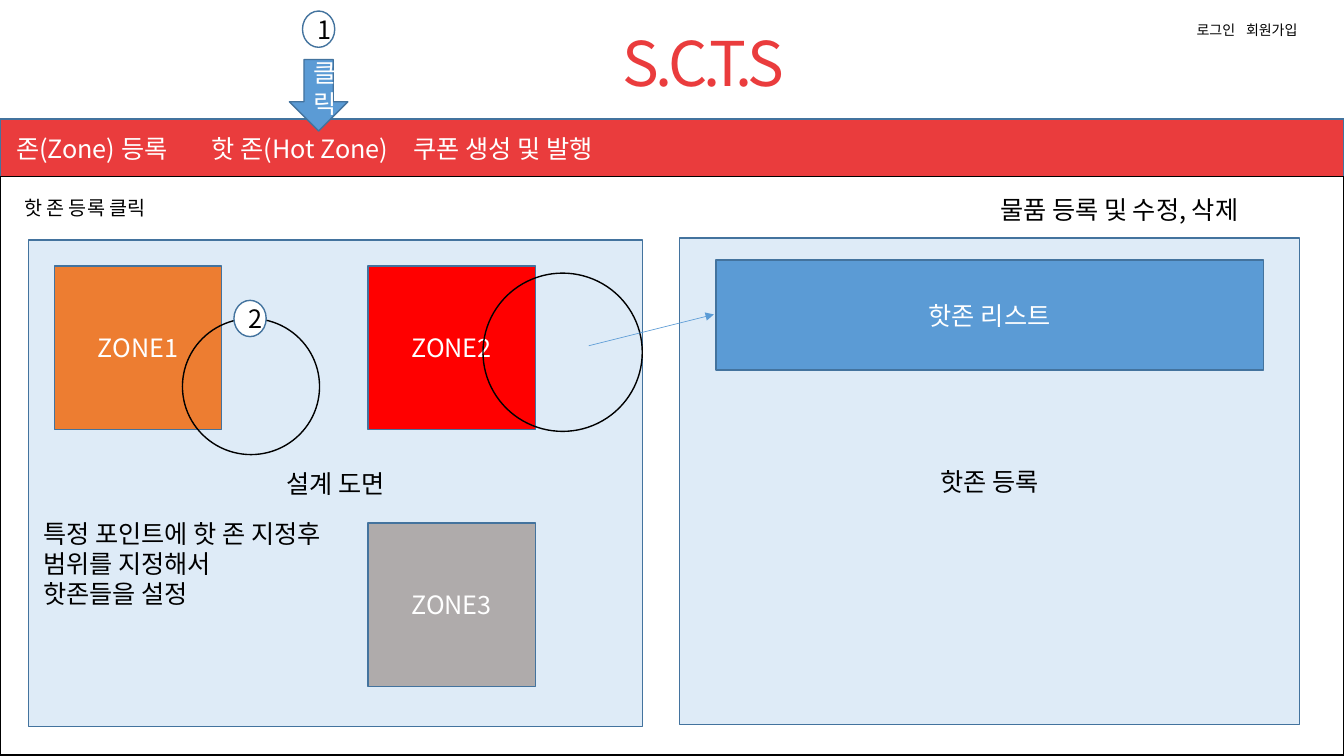
from pptx import Presentation
from pptx.dml.color import RGBColor
from pptx.enum.shapes import MSO_CONNECTOR, MSO_SHAPE
from pptx.enum.text import MSO_ANCHOR, MSO_AUTO_SIZE, PP_ALIGN
from pptx.oxml.ns import qn
from pptx.util import Inches, Pt
from lxml import etree

RECTANGLE, ELLIPSE, DOWN_ARROW = MSO_SHAPE.RECTANGLE, MSO_SHAPE.OVAL, MSO_SHAPE.DOWN_ARROW
STRAIGHT = MSO_CONNECTOR.STRAIGHT
LEFT, CENTER = PP_ALIGN.LEFT, PP_ALIGN.CENTER
TOP, MIDDLE = MSO_ANCHOR.TOP, MSO_ANCHOR.MIDDLE
NO_FIT = MSO_AUTO_SIZE.NONE

WHITE = RGBColor(0xFF, 0xFF, 0xFF)
BLACK = RGBColor(0x00, 0x00, 0x00)
BRAND_RED = RGBColor(0xEA, 0x3C, 0x3D)
OUTLINE = RGBColor(0x43, 0x73, 0x9E)
PANEL = RGBColor(0xDE, 0xEB, 0xF7)
BLUE = RGBColor(0x5B, 0x9B, 0xD5)
ORANGE = RGBColor(0xED, 0x7D, 0x31)
RED = RGBColor(0xFF, 0x00, 0x00)
GRAY = RGBColor(0xAF, 0xAB, 0xAB)

FONT = "Noto Sans CJK KR"
WIDTH, HEIGHT = 13.33, 7.5
ZONE_SIZE = (1.66, 1.62)
BADGE_SIZE = (0.32, 0.36)


def write_text(shape, text, color, size=18, align=CENTER, anchor=MIDDLE, wrap=True, tabs=(), spacing=None):
    """Fill a shape with formatted paragraphs, one per line of text."""
    frame = shape.text_frame
    frame_format = {"word_wrap": wrap, "vertical_anchor": anchor, "auto_size": NO_FIT}
    for name, value in frame_format.items():
        setattr(frame, name, value)
    frame.text = text
    for paragraph in frame.paragraphs:
        paragraph.alignment = align
        if tabs:
            tab_list = etree.SubElement(paragraph._p.get_or_add_pPr(), qn("a:tabLst"))
            for position in tabs:
                etree.SubElement(tab_list, qn("a:tab"), pos=str(Inches(position)), algn="l")
        for run in paragraph.runs:
            for name, value in {"name": FONT, "size": Pt(size)}.items():
                setattr(run.font, name, value)
            run.font.color.rgb = color
            properties = run._r.get_or_add_rPr()
            etree.SubElement(properties, qn("a:ea"), typeface=FONT)
            if spacing is not None:
                properties.set("spc", str(spacing))


def add_label(slide, box, text, color=BLACK, **text_format):
    """Add a top-left aligned text box."""
    shape = slide.shapes.add_textbox(*map(Inches, box))
    write_text(shape, text, color, **{"align": LEFT, "anchor": TOP, **text_format})


def add_block(slide, kind, box, fill=None, line=OUTLINE, text="", color=WHITE, **text_format):
    """Add an outlined preset shape with optional fill and text."""
    shape = slide.shapes.add_shape(kind, *map(Inches, box))
    shape.shadow.inherit = False
    if fill is None:
        shape.fill.background()
    else:
        shape.fill.solid()
        shape.fill.fore_color.rgb = fill
    shape.line.color.rgb = line
    shape.line.width = Pt(1)
    if text:
        write_text(shape, text, color, **text_format)
    return shape


def add_badge(slide, left, top, number):
    """Add a numbered step circle."""
    add_block(slide, ELLIPSE, (left, top, *BADGE_SIZE), WHITE, text=number, color=BLACK)


def add_header(slide, box):
    """Place the title, account links, menu bar and first click step."""
    left, top, width, height = box
    title = slide.shapes.title
    placement = {"left": left + 6.03, "top": top + 0.2, "width": 1.9, "height": 0.84}
    for name, value in placement.items():
        setattr(title, name, Inches(value))
    write_text(title, "S.C.T.S", BRAND_RED, size=44, anchor=TOP, wrap=False, spacing=-300)
    add_label(slide, (left + width - 1.56, top + 0.16, 1.57, 0.27), "로그인\t회원가입", size=10, tabs=(0.49,))
    menu = add_block(slide, RECTANGLE, (left, top + height - 0.58, width, 0.58), BRAND_RED,
                     text="존(Zone) 등록\t핫 존(Hot Zone)\t쿠폰 생성 및 발행", align=LEFT, tabs=(1.94, 3.94))
    menu.text_frame.margin_left = Inches(0.16)
    add_block(slide, DOWN_ARROW, (left + 2.87, top + 0.59, 0.58, 0.71), BLUE, text="클릭")
    add_badge(slide, left + 3, top + 0.11, "1")


def add_body_frame(slide, box):
    """Draw the page frame and the captions over its two panels."""
    left, top, width, height = box
    add_block(slide, RECTANGLE, box, WHITE, BLACK)
    add_label(slide, (left + 0.14, top + 0.14, 1.78, 0.34), "핫 존 등록 클릭", size=14)
    add_label(slide, (left + 9.82, top + 0.13, 2.89, 0.4), "물품 등록 및 수정, 삭제", wrap=False)


def add_floor_plan(slide, box):
    """Draw the floor plan with its zones and hot-zone ranges."""
    left, top, width, height = box
    add_block(slide, RECTANGLE, box, PANEL, text="설계 도면", color=BLACK)
    zones = [("ZONE1", 0.26, 0.26, ORANGE), ("ZONE2", 3.37, 0.26, RED), ("ZONE3", 3.37, 2.81, GRAY)]
    for name, x, y, fill in zones:
        add_block(slide, RECTANGLE, (left + x, top + y, *ZONE_SIZE), fill, text=name)
    for x, y, *size in [(1.53, 0.78, 1.36, 1.35), (4.51, 0.33, 1.58, 1.57)]:
        add_block(slide, ELLIPSE, (left + x, top + y, *size), line=BLACK)
    add_badge(slide, left + 2.04, top + 0.6, "2")
    add_label(slide, (left + 0.05, top + 2.71, 3.43, 1.01),
              "특정 포인트에 핫 존 지정후\n범위를 지정해서\n핫존들을 설정", wrap=False)


def add_registration(slide, box):
    """Draw the hot-zone registration panel and its list."""
    left, top, width, height = box
    add_block(slide, RECTANGLE, box, PANEL, text="핫존 등록", color=BLACK)
    add_block(slide, RECTANGLE, (left + 0.36, top + 0.22, width - 0.72, 1.09), BLUE, text="핫존 리스트")


def add_arrow(slide, start, end):
    """Draw the thin arrow from a hot zone to the list."""
    arrow = slide.shapes.add_connector(STRAIGHT, *map(Inches, (*start, *end)))
    arrow.line.color.rgb = BLUE
    arrow.line.width = Pt(0.5)
    etree.SubElement(arrow.line._get_or_add_ln(), qn("a:tailEnd"), type="triangle")
    etree.SubElement(arrow._element.spPr, qn("a:effectLst"))


def main():
    """Build and save the hot-zone screen slide."""
    presentation = Presentation()
    presentation.slide_width = Inches(WIDTH)
    presentation.slide_height = Inches(HEIGHT)
    slide = presentation.slides.add_slide(presentation.slide_layouts[5])
    add_header(slide, (0, 0, WIDTH, 1.76))
    add_body_frame(slide, (0, 1.75, WIDTH, 5.74))
    add_floor_plan(slide, (0.28, 2.38, 6.09, 4.83))
    add_registration(slide, (6.74, 2.36, 6.15, 4.83))
    add_arrow(slide, (5.84, 3.43), (7.08, 3.12))
    presentation.save("out.pptx")


if __name__ == "__main__":
    main()
